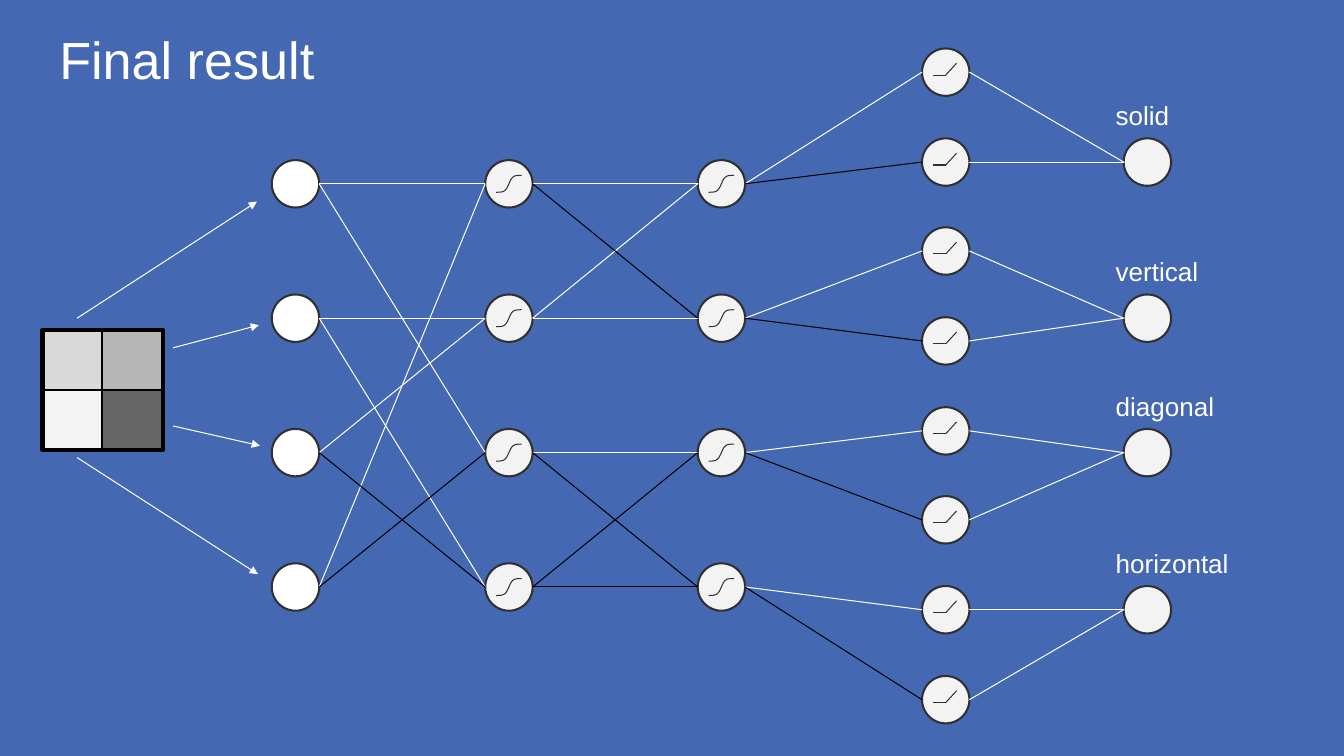
"""Build the slide that shows the finished network for a four-cell image."""
import math

import lxml.etree
import pptx
import pptx.dml.color
import pptx.enum.shapes
import pptx.enum.text
import pptx.oxml.ns
import pptx.util

PX = 9144
WHITE, BLACK, INK, PALE = "FFFFFF", "000000", "303030", "F3F3F3"
SHAPE = pptx.enum.shapes.MSO_SHAPE
qn = pptx.oxml.ns.qn


def paint(fill, hue):
    fill.solid()
    fill.fore_color.rgb = pptx.dml.color.RGBColor.from_string(hue)


def join(start, end, hue, arrow=False):
    ends = [v * PX for v in (*start, *end)]
    link = slide.shapes.add_connector(pptx.enum.shapes.MSO_CONNECTOR.STRAIGHT, *ends)
    paint(link.line.fill, hue)
    link.line.width = pptx.util.Pt(0.75)
    props = link.element.spPr
    if arrow:
        lxml.etree.SubElement(props.find(qn("a:ln")), qn("a:tailEnd"), type="triangle")
    lxml.etree.SubElement(props, qn("a:effectLst"))


deck = pptx.Presentation()
deck.slide_width, deck.slide_height = 1360 * PX, 765 * PX
slide = deck.slides.add_slide(deck.slide_layouts[6])
paint(slide.background.fill, "4568B2")

rows = [186 + 136 * i for i in range(4)]
gates = [round(73 + 90.7 * i) for i in range(8)]
outs = [gates[1], rows[1], rows[2], gates[6]]
cols = [(299, rows), (515, rows), (730, rows), (957, gates), (1161, outs)]
half = 24

forms = []
for i, hue in enumerate(["D9D9D9", "B7B7B7", PALE, "666666"]):
    spot = (43 + i % 2 * 61, 334 + i // 2 * 61, 60, 60)
    forms.append((SHAPE.RECTANGLE, spot, hue, BLACK, 0.75))
forms.append((SHAPE.RECTANGLE, (43, 334, 122, 121), None, BLACK, 3))
for i, (x, ys) in enumerate(cols):
    for y in ys:
        spot = (x - half, y - half, 2 * half, 2 * half)
        forms.append((SHAPE.OVAL, spot, PALE if i else WHITE, INK, 1.5))

for kind, spot, hue, edge, width in forms:
    form = slide.shapes.add_shape(kind, *[v * PX for v in spot])
    form.shadow.inherit = False
    if hue:
        paint(form.fill, hue)
    else:
        form.fill.background()
    paint(form.line.fill, edge)
    form.line.width = pptx.util.Pt(width)

for start, end in [
    ((78, 322), (260, 204)),
    ((175, 352), (262, 329)),
    ((175, 431), (263, 451)),
    ((78, 463), (261, 581)),
]:
    join(start, end, WHITE, arrow=True)

links = [
    ("00 30 21 11 02 13", "23 32"),
    ("00 10 11 22", "01 23 33 32"),
    ("00 12 24 36", "01 13 25 37"),
    ("00 10 21 31 42 52 63 73", ""),
]
for (left, tops), (right, ends), pair in zip(cols, cols[1:], links):
    for hue, codes in zip((WHITE, BLACK), pair):
        for a, b in codes.split():
            join((left + half, tops[int(a)]), (right - half, ends[int(b)]), hue)

for x, ys in cols[1:3]:
    for y in ys:
        curve = [
            (10 * (x + d), 10 * y - 86 * math.tanh(d / 3.8)) for d in range(-13, 14)
        ]
        pen = slide.shapes.build_freeform(*curve[0], scale=PX / 10)
        pen.add_line_segments(curve[1:], close=False)
        wave = pen.convert_to_shape()
        wave.shadow.inherit = False
        wave.fill.background()
        paint(wave.line.fill, INK)
        wave.line.width = pptx.util.Pt(0.75)

for y in gates:
    join((944, y + 3), (957, y + 3), INK)
    join((957, y + 3), (968, y - 9), INK)

texts = [("Final result", (46, 14, 1267, 85), 38)]
names = [("solid", 122), ("vertical", 122), ("diagonal", 155), ("horizontal", 179)]
for (name, width), y in zip(names, outs):
    texts.append((name, (1115, y - 77, width, 67), 19))

pad = 14 * PX
look = {
    "word_wrap": True,
    "vertical_anchor": pptx.enum.text.MSO_ANCHOR.TOP,
    "margin_left": pad,
    "margin_right": pad,
    "margin_top": pad,
    "margin_bottom": pad,
}
for words, spot, size in texts:
    frame = slide.shapes.add_textbox(*[v * PX for v in spot]).text_frame
    for key, value in look.items():
        setattr(frame, key, value)
    run = frame.paragraphs[0].add_run()
    run.text = words
    for key, value in {"name": "Arial", "size": pptx.util.Pt(size)}.items():
        setattr(run.font, key, value)
    paint(run.font.fill, WHITE)

deck.save("out.pptx")
